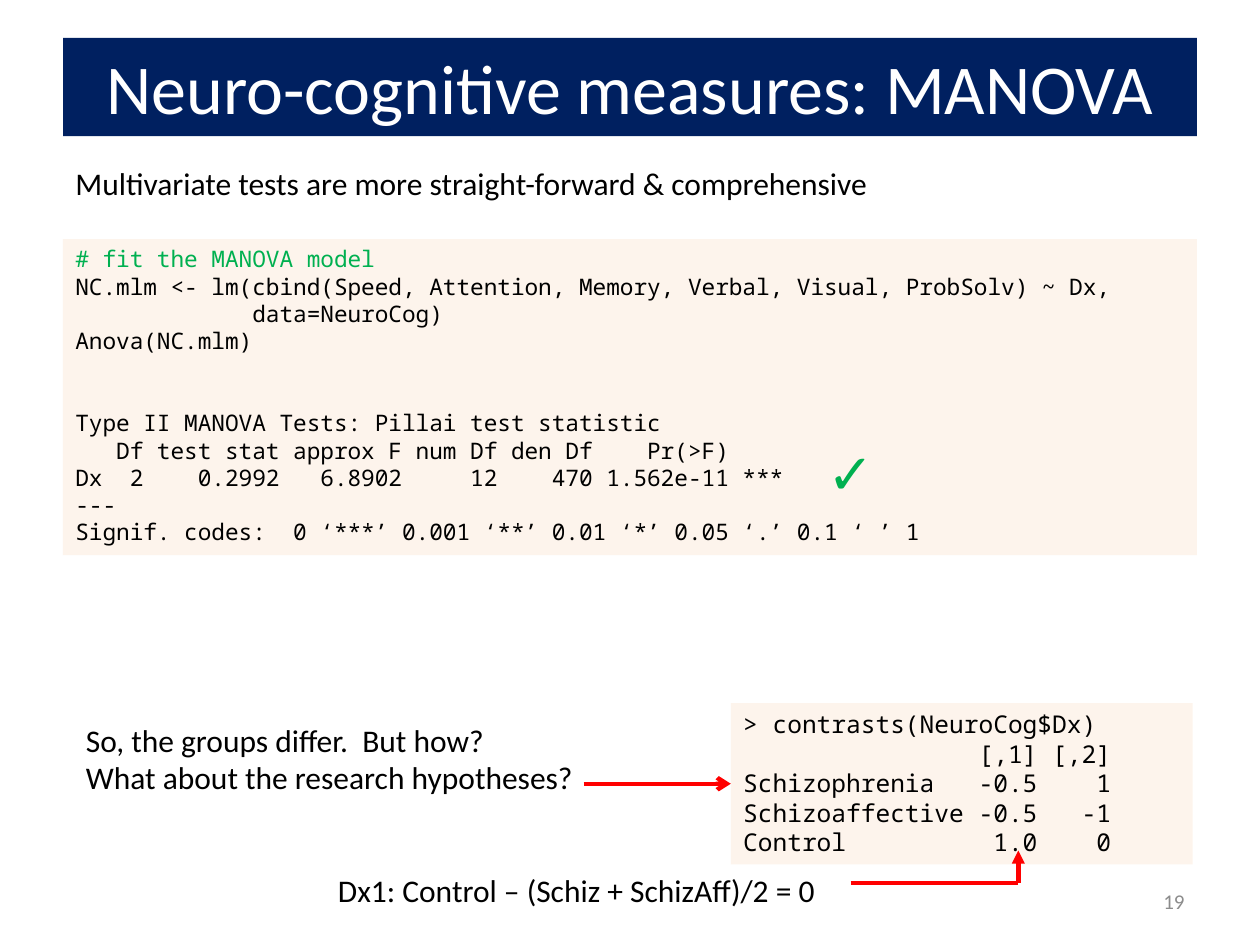
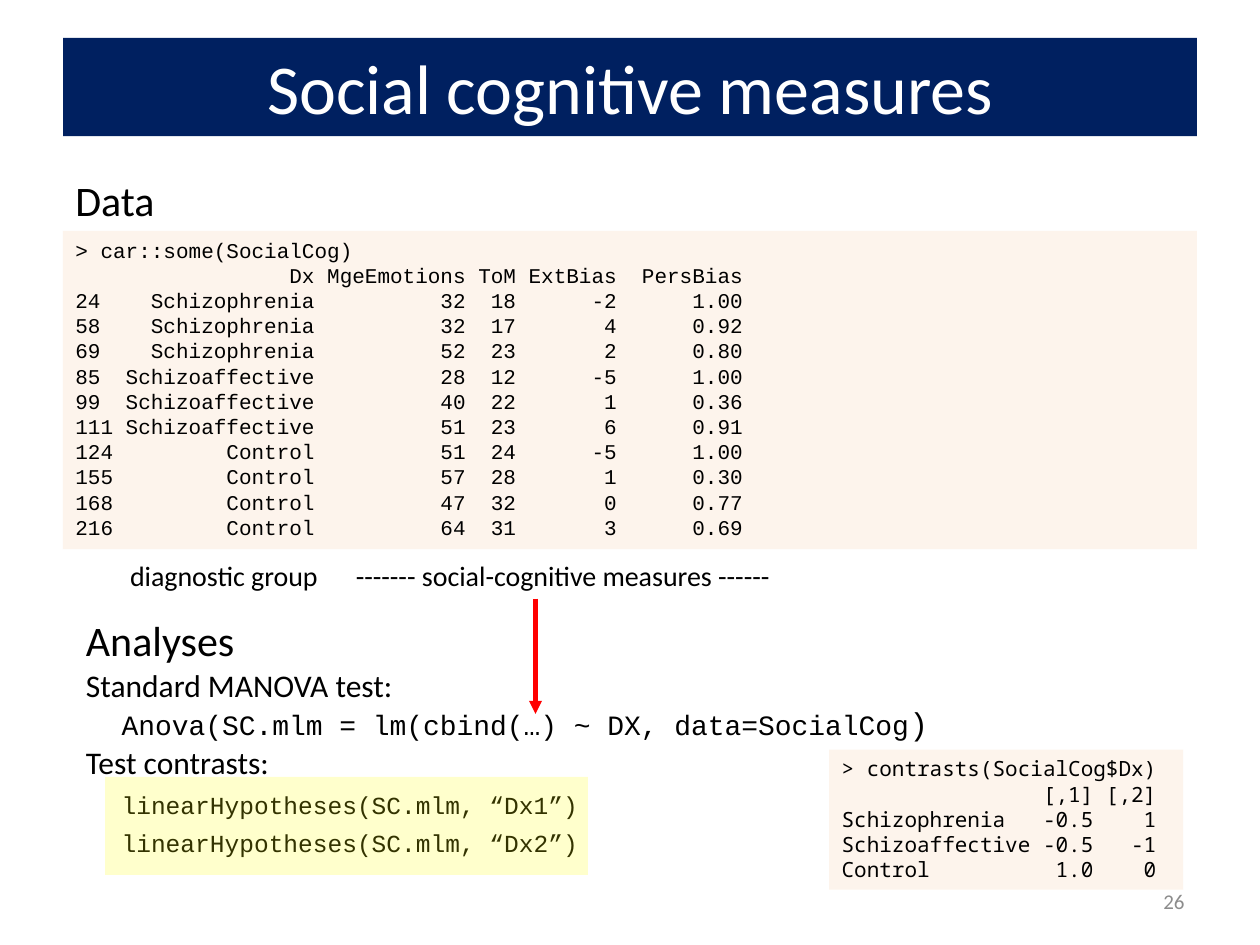
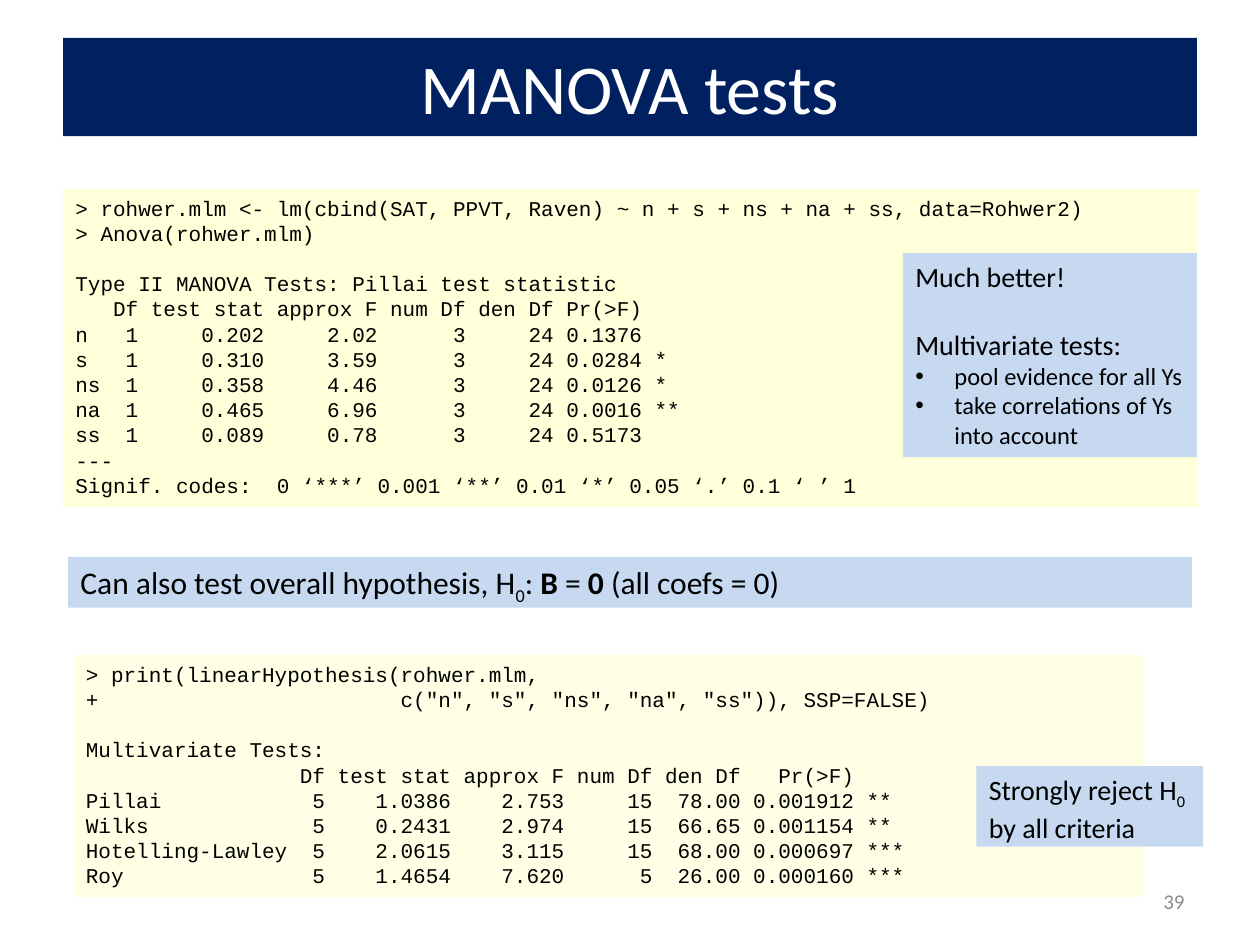
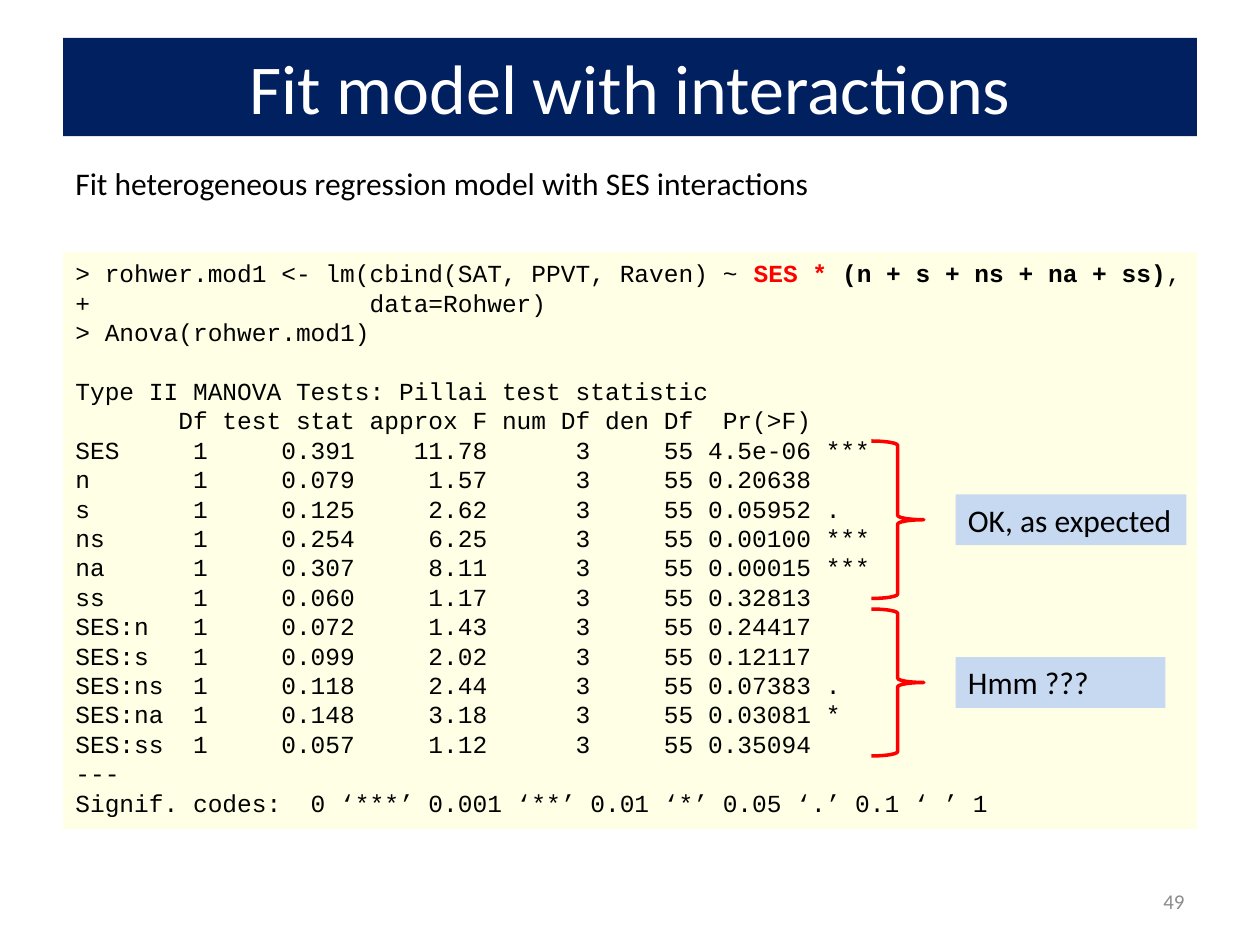
import pptx
import pptx.dml.color
import pptx.enum.shapes
import pptx.enum.text
import pptx.oxml
import pptx.oxml.ns
import pptx.util
from lxml import etree

Pt = pptx.util.Pt
qn = pptx.oxml.ns.qn
ALIGN = pptx.enum.text.PP_ALIGN
ANCHOR = pptx.enum.text.MSO_ANCHOR
SHAPE = pptx.enum.shapes.MSO_SHAPE

COLORS = {
    "navy": "002060", "white": "FFFFFF", "black": "000000", "gray": "8C8C8C",
    "red": "FF0000", "green": "00B050", "yellow": "FFFF00",
    "peach": "FDEADA", "blue": "8EB4E3", "pale blue": "C6D9F1",
}
SANS, MONO, COURIER = "Calibri", "Noto Sans Mono", "Courier New"
LEFT, WIDTH = 36, 648
CODE_LEADING = 1.2      # line pitch of code, in font sizes
CODE_HEIGHT = 1.213     # box height per line of code, in font sizes
SANS_LEADING = 1.22
INSET = 3.6

# Content ---------------------------------------------------------------

SIGNIF = "---\nSignif. codes:  0 ‘***’ 0.001 ‘**’ 0.01 ‘*’ 0.05 ‘.’ 0.1 ‘ ’ 1"

CONTRASTS = """\
> contrasts({}$Dx)
                [,1] [,2]
Schizophrenia   -0.5    1
Schizoaffective -0.5   -1
Control          1.0    0"""

NEURO_CODE = """\
# fit the MANOVA model
NC.mlm <- lm(cbind(Speed, Attention, Memory, Verbal, Visual, ProbSolv) ~ Dx,
             data=NeuroCog)
Anova(NC.mlm)


Type II MANOVA Tests: Pillai test statistic
   Df test stat approx F num Df den Df    Pr(>F)
Dx  2    0.2992   6.8902     12    470 1.562e-11 ***
""" + SIGNIF

SOCIAL_CODE = """\
> car::some(SocialCog)
                 Dx MgeEmotions ToM ExtBias  PersBias
24    Schizophrenia          32  18      -2      1.00
58    Schizophrenia          32  17       4      0.92
69    Schizophrenia          52  23       2      0.80
85  Schizoaffective          28  12      -5      1.00
99  Schizoaffective          40  22       1      0.36
111 Schizoaffective          51  23       6      0.91
124         Control          51  24      -5      1.00
155         Control          57  28       1      0.30
168         Control          47  32       0      0.77
216         Control          64  31       3      0.69"""

ROHWER_CODE = """\
> rohwer.mlm <- lm(cbind(SAT, PPVT, Raven) ~ n + s + ns + na + ss, data=Rohwer2)
> Anova(rohwer.mlm)

Type II MANOVA Tests: Pillai test statistic
   Df test stat approx F num Df den Df Pr(>F)
n   1     0.202     2.02      3     24 0.1376
s   1     0.310     3.59      3     24 0.0284 *
ns  1     0.358     4.46      3     24 0.0126 *
na  1     0.465     6.96      3     24 0.0016 **
ss  1     0.089     0.78      3     24 0.5173
""" + SIGNIF

HYPOTHESIS_CODE = """\
> print(linearHypothesis(rohwer.mlm,
+                        c("n", "s", "ns", "na", "ss")), SSP=FALSE)

Multivariate Tests:
                 Df test stat approx F num Df den Df   Pr(>F)
Pillai            5    1.0386    2.753     15  78.00 0.001912 **
Wilks             5    0.2431    2.974     15  66.65 0.001154 **
Hotelling-Lawley  5    2.0615    3.115     15  68.00 0.000697 ***
Roy               5    1.4654    7.620      5  26.00 0.000160 ***"""

INTERACTION_CALL = [
    ("> rohwer.mod1 <- lm(cbind(SAT, PPVT, Raven) ~ ", {}),
    ("SES * ", {"bold": True, "color": "red"}),
    ("(n + s + ns + na + ss)", {"bold": True}),
    (",", {}),
]
INTERACTION_CODE = """\
+                   data=Rohwer)
> Anova(rohwer.mod1)

Type II MANOVA Tests: Pillai test statistic
       Df test stat approx F num Df den Df  Pr(>F)
SES     1     0.391    11.78      3     55 4.5e-06 ***
n       1     0.079     1.57      3     55 0.20638
s       1     0.125     2.62      3     55 0.05952 .
ns      1     0.254     6.25      3     55 0.00100 ***
na      1     0.307     8.11      3     55 0.00015 ***
ss      1     0.060     1.17      3     55 0.32813
SES:n   1     0.072     1.43      3     55 0.24417
SES:s   1     0.099     2.02      3     55 0.12117
SES:ns  1     0.118     2.44      3     55 0.07383 .
SES:na  1     0.148     3.18      3     55 0.03081 *
SES:ss  1     0.057     1.12      3     55 0.35094
""" + SIGNIF

ANALYSES = [
    {"text": "Analyses", "size": 24},
    {"text": "Standard MANOVA test:", "pitch": 22},
    {"text": [("Anova(SC.mlm = lm(cbind(…) ~ DX, data=SocialCog", {"size": 16}), (")", {})],
     "font": COURIER, "indent": 20.4, "pitch": 22},
    {"text": "Test contrasts:", "pitch": 22},
    {"text": "linearHypotheses(SC.mlm, “Dx1”)",
     "font": COURIER, "size": 14, "indent": 20.4, "pitch": 22},
    {"text": "linearHypotheses(SC.mlm, “Dx2”)",
     "font": COURIER, "size": 14, "indent": 20.4, "pitch": 22},
]
BENEFITS = [
    {"text": "Much better!"},
    {"text": "Multivariate tests:", "before": 16 * SANS_LEADING},
    {"text": "pool evidence for all Ys", "size": 14, "bullet": 22.3},
    {"text": "take correlations of Ys into account", "size": 14, "bullet": 22.3},
]
OVERALL = [{"text": [
    ("Can also test overall hypothesis, H", {}), ("0", {"subscript": True}), (": ", {}),
    ("B", {"bold": True}), (" = ", {}), ("0", {"bold": True}), (" (all coefs = 0)", {}),
]}]
REJECT = [{"text": [
    ("Strongly reject H", {}), ("0", {"subscript": True}), (" by all criteria", {}),
]}]
QUESTIONS = [
    {"text": "So, the groups differ.  But how?"},
    {"text": "What about the research hypotheses?"},
]
COLUMN_GROUPS = [{"text": "diagnostic group\t------- social-cognitive measures ------", "tab": 129}]


# Shared parts ----------------------------------------------------------

def rgb(name):
    return pptx.dml.color.RGBColor.from_string(COLORS[name])


def style_font(font, name=None, size=None, color=None, bold=None, subscript=False):
    if name:
        font.name = name
    if size:
        font.size = Pt(size)
    if color:
        font.color.rgb = rgb(color)
    if bold is not None:
        font.bold = bold
    return subscript


def add_paragraph_xml(paragraph, bullet=None, indent=None, tab=None):
    properties = paragraph._p.get_or_add_pPr()
    if bullet or indent:
        properties.set("marL", str(Pt(bullet or indent)))
        properties.set("indent", str(-Pt(bullet or 0)))
    if bullet:
        etree.SubElement(properties, qn("a:buFont")).set("typeface", "Arial")
        etree.SubElement(properties, qn("a:buChar")).set("char", "•")
    if tab:
        stop = etree.SubElement(etree.SubElement(properties, qn("a:tabLst")), qn("a:tab"))
        stop.set("pos", str(Pt(tab)))
        stop.set("algn", "l")


def write(frame, paragraphs, size, font=SANS, color="black", align=ALIGN.LEFT):
    """Fill a text frame; each paragraph is a dict with text or runs and its own settings."""
    for index, entry in enumerate(paragraphs):
        paragraph = frame.paragraphs[0] if index == 0 else frame.add_paragraph()
        add_paragraph_xml(paragraph, entry.get("bullet"), entry.get("indent"), entry.get("tab"))
        paragraph.alignment = align
        if "before" in entry:
            paragraph.space_before = Pt(entry["before"])
        if "pitch" in entry:
            paragraph.line_spacing = Pt(entry["pitch"])
        style_font(paragraph.font, entry.get("font", font), entry.get("size", size),
                   entry.get("color", color))
        text = entry["text"]
        for words, style in [(text, {})] if isinstance(text, str) else text:
            run = paragraph.add_run()
            run.text = words
            if style_font(run.font, **style):
                run._r.get_or_add_rPr().set("baseline", "-25000")


def add_text(slide, place, paragraphs, size, wrap=True, middle=False, **style):
    if isinstance(paragraphs, str):
        paragraphs = [{"text": paragraphs}]
    frame = slide.shapes.add_textbox(*map(Pt, place)).text_frame
    frame.word_wrap = wrap
    frame.vertical_anchor = ANCHOR.MIDDLE if middle else ANCHOR.TOP
    write(frame, paragraphs, size, **style)
    return frame


def add_box(slide, place, fill, opacity=100, paragraphs=(), size=18, **style):
    if isinstance(paragraphs, str):
        paragraphs = [{"text": paragraphs}]
    box = slide.shapes.add_shape(SHAPE.RECTANGLE, *map(Pt, place))
    box.shadow.inherit = False
    box.line.fill.background()
    box.fill.solid()
    box.fill.fore_color.rgb = rgb(fill)
    if opacity < 100:
        color = box._element.spPr.find(".//" + qn("a:srgbClr"))
        etree.SubElement(color, qn("a:alpha")).set("val", str(opacity * 1000))
    box.text_frame.word_wrap = True
    box.text_frame.vertical_anchor = ANCHOR.TOP
    write(box.text_frame, paragraphs, size, **style)
    return box


def add_code(slide, top, code, size, fill, opacity, font=COURIER, left=LEFT, width=WIDTH,
             first_line=None):
    """Add a code panel as tall as its lines; empty lines become space before the next."""
    lines = ([first_line] if first_line else []) + code.split("\n")
    pitch = size * CODE_LEADING
    paragraphs, gap = [], 0
    for line in lines:
        if not line:
            gap += pitch
            continue
        entry = {"text": line, "pitch": pitch}
        if gap:
            entry["before"] = gap
            gap = 0
        if line[0] == "#":
            entry["color"] = "green"
        paragraphs.append(entry)
    height = len(lines) * size * CODE_HEIGHT + 2 * INSET
    return add_box(slide, (left, top, width, height), fill, opacity, paragraphs, size, font=font)


def add_line(slide, start, end, head=None):
    line = slide.shapes.add_connector(pptx.enum.shapes.MSO_CONNECTOR.STRAIGHT,
                                      *map(Pt, start + end))
    line.line.color.rgb = rgb("red")
    line.line.width = Pt(2.5)
    if head:
        etree.SubElement(line.line._get_or_add_ln(), qn("a:tailEnd")).set("type", head)
    etree.SubElement(line._element.spPr, qn("a:effectLst"))
    return line


def add_brace(slide, top, height):
    brace = slide.shapes.add_shape(SHAPE.RIGHT_BRACE, Pt(498), Pt(top), Pt(30), Pt(height))
    brace.shadow.inherit = False
    brace.fill.background()
    brace.line.color.rgb = rgb("red")
    brace.line.width = Pt(2)


def new_slide(presentation, title, number):
    slide = presentation.slides.add_slide(presentation.slide_layouts.get_by_name("Title Only"))
    band = slide.shapes.title
    band.left, band.top, band.width, band.height = map(Pt, (LEFT, 21.6, WIDTH, 56.2))
    band.fill.solid()
    band.fill.fore_color.rgb = rgb("navy")
    band.text_frame.vertical_anchor = ANCHOR.MIDDLE
    write(band.text_frame, [{"text": title}], 40, color="white", align=ALIGN.CENTER)
    add_text(slide, (516, 500.4, 168, 28.8), str(number), 12, middle=True,
             color="gray", align=ALIGN.RIGHT)
    return slide


def add_lead(slide, text):
    add_text(slide, (LEFT, 90, WIDTH, 29), text, 18)


# Slides ----------------------------------------------------------------

def build_neuro(presentation):
    slide = new_slide(presentation, "Neuro-cognitive measures: MANOVA", 19)
    contrasts = add_code(slide, 401.8, CONTRASTS.format("NeuroCog"), 14, "peach", 50,
                         font=MONO, left=417.6, width=264)
    add_text(slide, (42, 408.2, 321, 51), QUESTIONS, 18)
    arrow = add_line(slide, (333.5, 447.85), (417.6, 447.85), "arrow")
    arrow.end_connect(contrasts, 1)
    add_text(slide, (186, 493.9, 312, 29), "Dx1: Control – (Schiz + SchizAff)/2 = 0", 18)
    corner = (581.9, 504.7)
    add_line(slide, (486, 504.7), corner)
    add_line(slide, corner, (581.9, 486), "triangle")
    add_code(slide, 136.6, NEURO_CODE, 13, "peach", 50, font=MONO)
    add_text(slide, (465.8, 247, 39.6, 46), "✓", 32, wrap=False,
             color="green", align=ALIGN.CENTER)
    add_lead(slide, "Multivariate tests are more straight-forward & comprehensive")


def build_social(presentation):
    slide = new_slide(presentation, "Social cognitive measures", 26)
    add_code(slide, 132, SOCIAL_CODE, 12, "peach", 50)
    labels = add_text(slide, (53.3, 315.4, 630, 26.6), COLUMN_GROUPS, 16)
    labels.margin_left = Pt(21)
    add_text(slide, (LEFT, 96, 96, 36), "Data", 24)
    add_text(slide, (42, 347.8, 594, 145.4), ANALYSES, 18)
    add_code(slide, 428.4, CONTRASTS.format("SocialCog"), 12, "peach", 50,
             font=MONO, left=473.8, width=202.3)
    add_line(slide, (306, 342), (306, 408), "triangle")
    add_box(slide, (60, 444, 276, 56), "yellow", 20)


def build_tests(presentation):
    slide = new_slide(presentation, "MANOVA tests", 39)
    add_box(slide, (38.9, 318.2, 642.2, 29), "blue", 50, OVERALL)
    add_code(slide, 108, ROHWER_CODE, 12, "yellow", 15)
    add_box(slide, (516, 144.7, 168, 116.6), "pale blue", paragraphs=BENEFITS, size=16)
    add_code(slide, 374.4, HYPOTHESIS_CODE, 12, "yellow", 10, left=42, width=612)
    add_box(slide, (558, 437.8, 129.6, 46), "pale blue", paragraphs=REJECT, size=16)


def build_interactions(presentation):
    slide = new_slide(presentation, "Fit model with interactions", 49)
    add_lead(slide, "Fit heterogeneous regression model with SES interactions")
    add_code(slide, 144, INTERACTION_CODE, 14, "yellow", 10, first_line=INTERACTION_CALL)
    for top, height, width, remark in [(252, 90, 132, "OK, as expected"),
                                       (348, 84, 120, "Hmm ???")]:
        add_brace(slide, top, height)
        add_box(slide, (546, top + height / 2 - 14.5, width, 29), "pale blue", paragraphs=remark)


def main():
    presentation = pptx.Presentation()
    presentation.slide_width, presentation.slide_height = Pt(720), Pt(540)
    for build in (build_neuro, build_social, build_tests, build_interactions):
        build(presentation)
    presentation.save("out.pptx")


if __name__ == "__main__":
    main()
